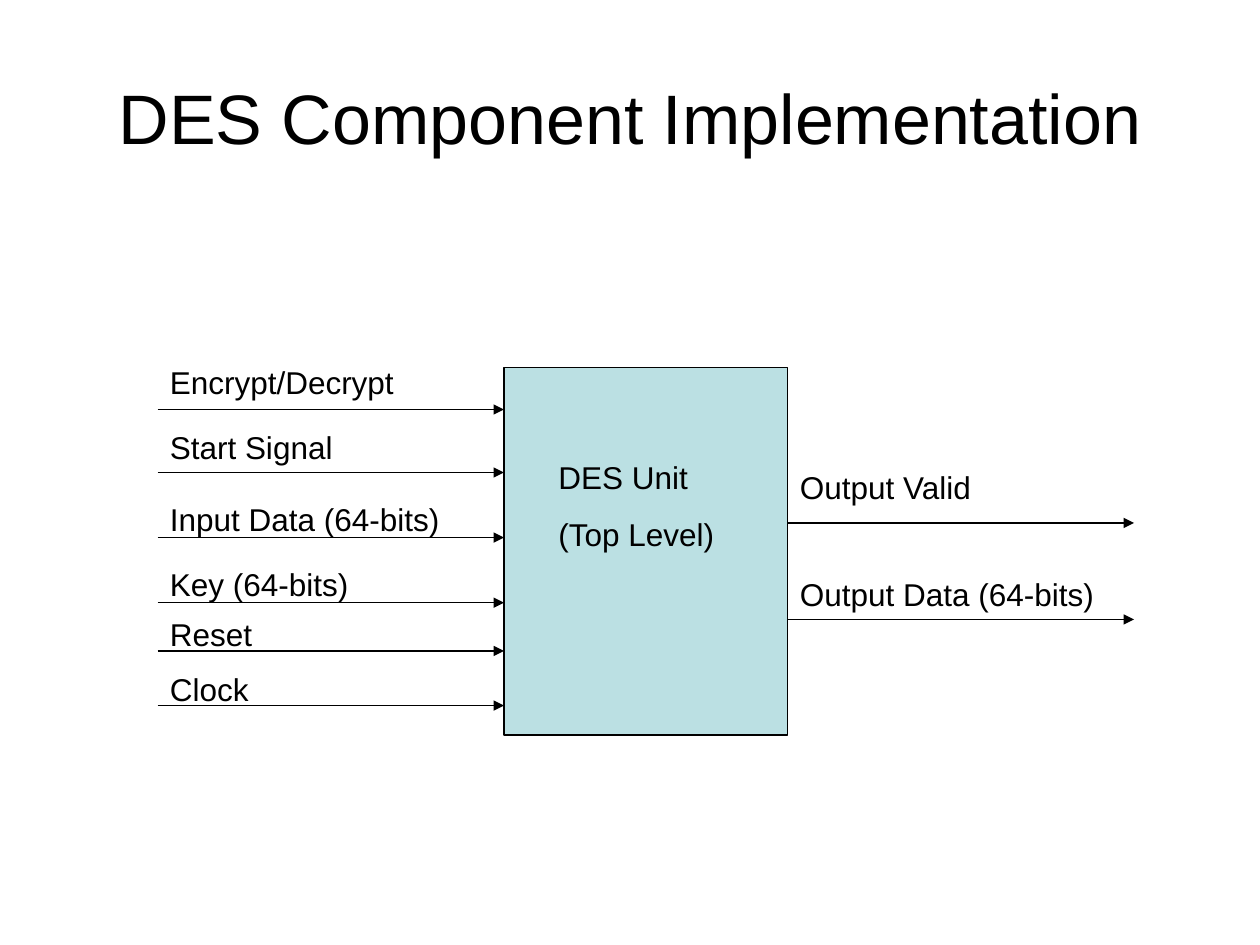
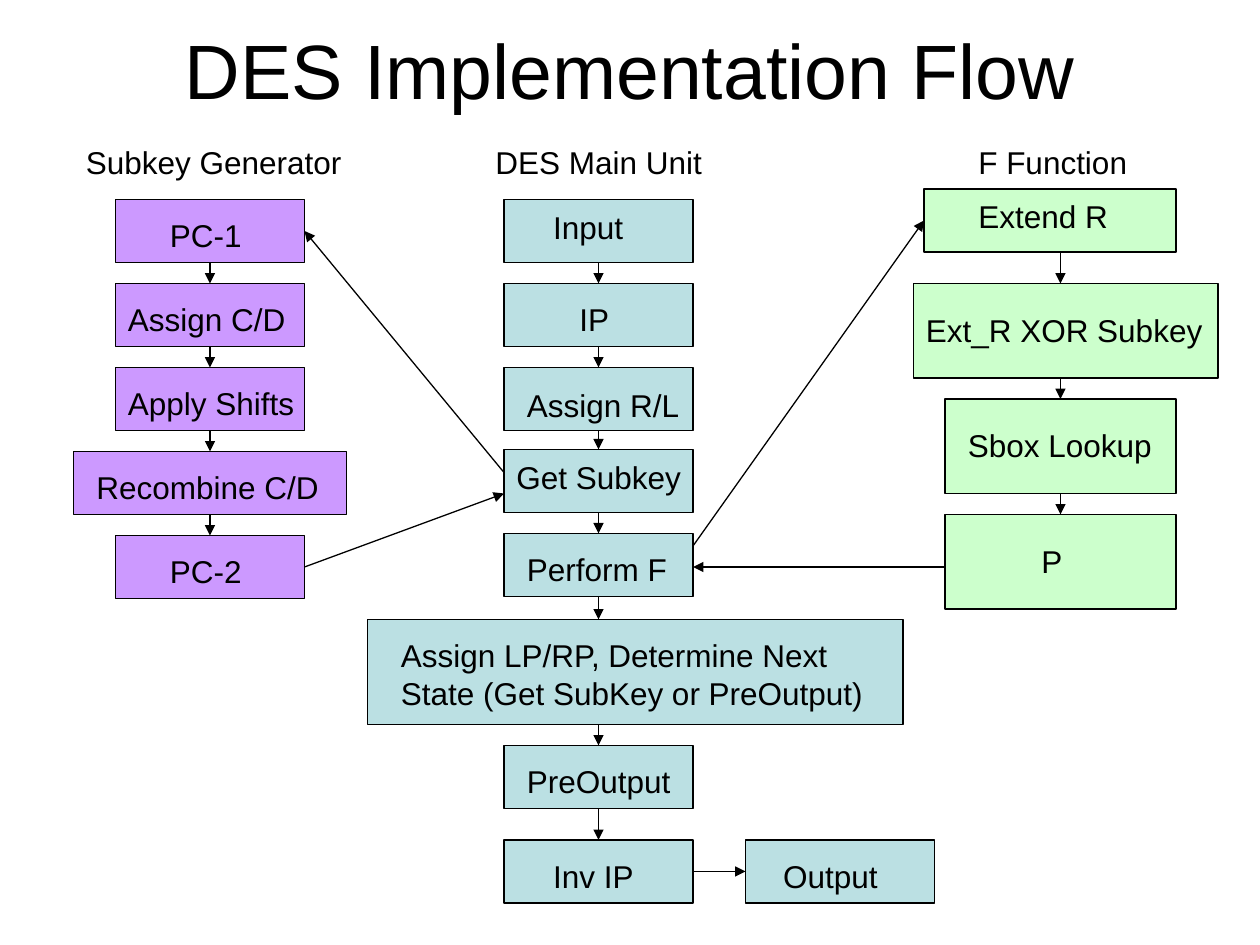
from dataclasses import dataclass
from typing import NamedTuple

from lxml import etree
from pptx import Presentation
from pptx.dml.color import RGBColor
from pptx.enum.shapes import MSO_CONNECTOR, MSO_SHAPE
from pptx.enum.text import MSO_ANCHOR, MSO_AUTO_SIZE, PP_ALIGN
from pptx.oxml.ns import qn
from pptx.util import Emu, Pt

STRAIGHT = MSO_CONNECTOR.STRAIGHT
RECTANGLE = MSO_SHAPE.RECTANGLE
MIDDLE = MSO_ANCHOR.MIDDLE
CENTER = PP_ALIGN.CENTER
GROW = MSO_AUTO_SIZE.SHAPE_TO_FIT_TEXT
FIXED = MSO_AUTO_SIZE.NONE

EMU_PER_PX = 7620  # 120 px to the inch
FONT = "Arial"
LABEL_SIZE = 18
LABEL_HEIGHT = 48
COLOURS = {
    "ink": "000000",
    "main": "BBE0E3",
    "subkey": "CC99FF",
    "function": "CCFFCC",
}


class Point(NamedTuple):
    x: int
    y: int


class Label(NamedTuple):
    text: str
    left: int
    top: int
    width: int
    height: int = LABEL_HEIGHT


class Signal(NamedTuple):
    text: str
    label_top: int
    label_width: int
    arrow_y: int


@dataclass(frozen=True)
class Step:
    """A filled rectangle with its label placed relative to its corner."""
    text: str
    left: int
    top: int
    width: int
    height: int
    indent: int
    label_width: int
    drop: int = 10
    label_height: int = LABEL_HEIGHT

    @property
    def bottom(self) -> int:
        return self.top + self.height

    def side_middles(self) -> list[Point]:
        """Middles in connection order: top, left, bottom, right."""
        x = self.left + self.width // 2
        y = self.top + self.height // 2
        return [Point(x, self.top), Point(self.left, y),
                Point(x, self.bottom), Point(self.left + self.width, y)]


@dataclass(frozen=True)
class Column:
    heading: Label
    colour: str
    axis: int
    steps: list[Step]


def px(length: int) -> Emu:
    return Emu(length * EMU_PER_PX)


def colour(name: str) -> RGBColor:
    return RGBColor.from_string(COLOURS[name])


def style_font(para, size: int) -> None:
    para.font.name = FONT
    para.font.size = Pt(size)
    para.font.color.rgb = colour("ink")


def add_titled_page(deck, text: str, top: int, size: int):
    page = deck.slides.add_slide(deck.slide_layouts[5])
    title = page.shapes.title
    title.left, title.top, title.width, title.height = map(px, (60, top, 1080, 150))
    frame = title.text_frame
    frame.text = text
    frame.auto_size = FIXED
    frame.vertical_anchor = MIDDLE
    para = frame.paragraphs[0]
    para.alignment = CENTER
    style_font(para, size)
    return page


def add_label(page, label: Label) -> None:
    box = page.shapes.add_textbox(*map(px, label[1:]))
    frame = box.text_frame
    frame.text = label.text
    frame.word_wrap = True
    frame.auto_size = GROW
    for index, para in enumerate(frame.paragraphs):
        if index:
            para.space_before = Pt(11.2)
        style_font(para, LABEL_SIZE)


def add_step(page, step: Step, fill: str):
    box = page.shapes.add_shape(
        RECTANGLE, *map(px, (step.left, step.top, step.width, step.height)))
    box.shadow.inherit = False
    box.fill.solid()
    box.fill.fore_color.rgb = colour(fill)
    box.line.color.rgb = colour("ink")
    box.line.width = Pt(0.75)
    add_label(page, Label(step.text, step.left + step.indent, step.top + step.drop,
                          step.label_width, step.label_height))
    return box


def add_arrow(page, start: Point, end: Point, joints: dict) -> None:
    """Draw an arrow and join each end that meets the middle of a side."""
    arrow = page.shapes.add_connector(STRAIGHT, *map(px, (*start, *end)))
    arrow.line.color.rgb = colour("ink")
    arrow.line.width = Pt(0.75)
    etree.SubElement(arrow.line._get_or_add_ln(), qn("a:tailEnd"), type="triangle")
    etree.SubElement(arrow._element.spPr, qn("a:effectLst"))
    if start in joints:
        arrow.begin_connect(*joints[start])
    if end in joints:
        arrow.end_connect(*joints[end])


# Component page: one unit with its signals
UNIT = Step("DES Unit\n(Top Level)", 480, 350, 270, 350,
            indent=40, label_width=180, drop=80, label_height=103)
INPUTS = [
    Signal("Encrypt/Decrypt", 340, 240, 390),
    Signal("Start Signal", 402, 240, 450),
    Signal("Input Data (64-bits)", 470, 290, 512),
    Signal("Key (64-bits)", 532, 290, 574),
    Signal("Reset", 580, 290, 620),
    Signal("Clock", 632, 290, 672),
]
OUTPUTS = [
    Signal("Output Valid", 440, 320, 498),
    Signal("Output Data (64-bits)", 542, 320, 590),
]
SIGNAL_LENGTH = 330


def build_component_page(deck) -> None:
    page = add_titled_page(deck, "DES Component Implementation", 36, 40)
    add_step(page, UNIT, "main")
    sides = [(UNIT.left - SIGNAL_LENGTH, INPUTS), (UNIT.left + UNIT.width, OUTPUTS)]
    for left, signals in sides:
        for signal in signals:
            add_arrow(page, Point(left, signal.arrow_y),
                      Point(left + SIGNAL_LENGTH, signal.arrow_y), {})
            add_label(page, Label(signal.text, left, signal.label_top,
                                  signal.label_width))


# Flow page: three columns of steps
def subkey_step(row: int, text: str, indent: int, label_width: int,
                left: int = 110, width: int = 180) -> Step:
    return Step(text, left, 190 + 80 * row, width, 60, indent, label_width)


def main_step(text: str, top: int, indent: int, label_width: int,
              drop: int = 10, left: int = 480) -> Step:
    return Step(text, left, top, 180, 60, indent, label_width, drop)


COLUMNS = [
    Column(Label("Subkey Generator", 70, 130, 270), "subkey", 200, [
        subkey_step(0, "PC-1", 40, 100),
        subkey_step(1, "Assign C/D", 0, 190),
        subkey_step(2, "Apply Shifts", 0, 190),
        subkey_step(3, "Recombine C/D", 10, 250, left=70, width=260),
        subkey_step(4, "PC-2", 40, 100),
    ]),
    Column(Label("DES Main Unit", 460, 130, 240), "main", 570, [
        main_step("Input", 190, 35, 106, drop=2),
        main_step("IP", 270, 60, 55),
        main_step("Assign R/L", 350, 10, 190, drop=12),
        main_step("Get Subkey", 428, 0, 200, drop=2),
        main_step("Perform F", 508, 10, 180),
        Step("Assign LP/RP, Determine Next State (Get SubKey or PreOutput)",
             350, 590, 510, 100, indent=20, label_width=490, label_height=84),
        main_step("PreOutput", 710, 10, 190),
        main_step("Inv IP", 800, 35, 106),
    ]),
    Column(Label("F Function", 920, 130, 240), "function", 1010, [
        Step("Extend R", 880, 180, 240, 60, 40, 156, drop=2),
        Step("Ext_R XOR Subkey", 870, 270, 290, 90, 0, 300, drop=20),
        Step("Sbox Lookup", 900, 380, 220, 90, 10, 220, drop=20),
        Step("P", 900, 490, 220, 90, 80, 60, drop=20),
    ]),
]
OUTPUT = main_step("Output", 800, 24, 126, left=710)
CROSS_ARROWS = [
    (Point(480, 450), Point(290, 220)),   # Get Subkey to PC-1
    (Point(290, 540), Point(480, 470)),   # PC-2 to Get Subkey
    (Point(660, 520), Point(880, 210)),   # Perform F to Extend R
    (Point(900, 540), Point(660, 540)),   # P to Perform F
    (Point(660, 830), Point(710, 830)),   # Inv IP to Output
]


def build_flow_page(deck) -> None:
    page = add_titled_page(deck, "DES Implementation Flow", -10, 44)
    joints = {}
    filled_steps = [(step, column.colour) for column in COLUMNS for step in column.steps]
    for step, fill in [*filled_steps, (OUTPUT, "main")]:
        box = add_step(page, step, fill)
        for side, middle in enumerate(step.side_middles()):
            joints[middle] = (box, side)
    for column in COLUMNS:
        add_label(page, column.heading)
        for upper, lower in zip(column.steps, column.steps[1:]):
            add_arrow(page, Point(column.axis, upper.bottom),
                      Point(column.axis, lower.top), joints)
    for start, end in CROSS_ARROWS:
        add_arrow(page, start, end, joints)


def main() -> None:
    deck = Presentation()
    deck.slide_width, deck.slide_height = px(1200), px(900)
    build_component_page(deck)
    build_flow_page(deck)
    deck.save("out.pptx")


if __name__ == "__main__":
    main()
